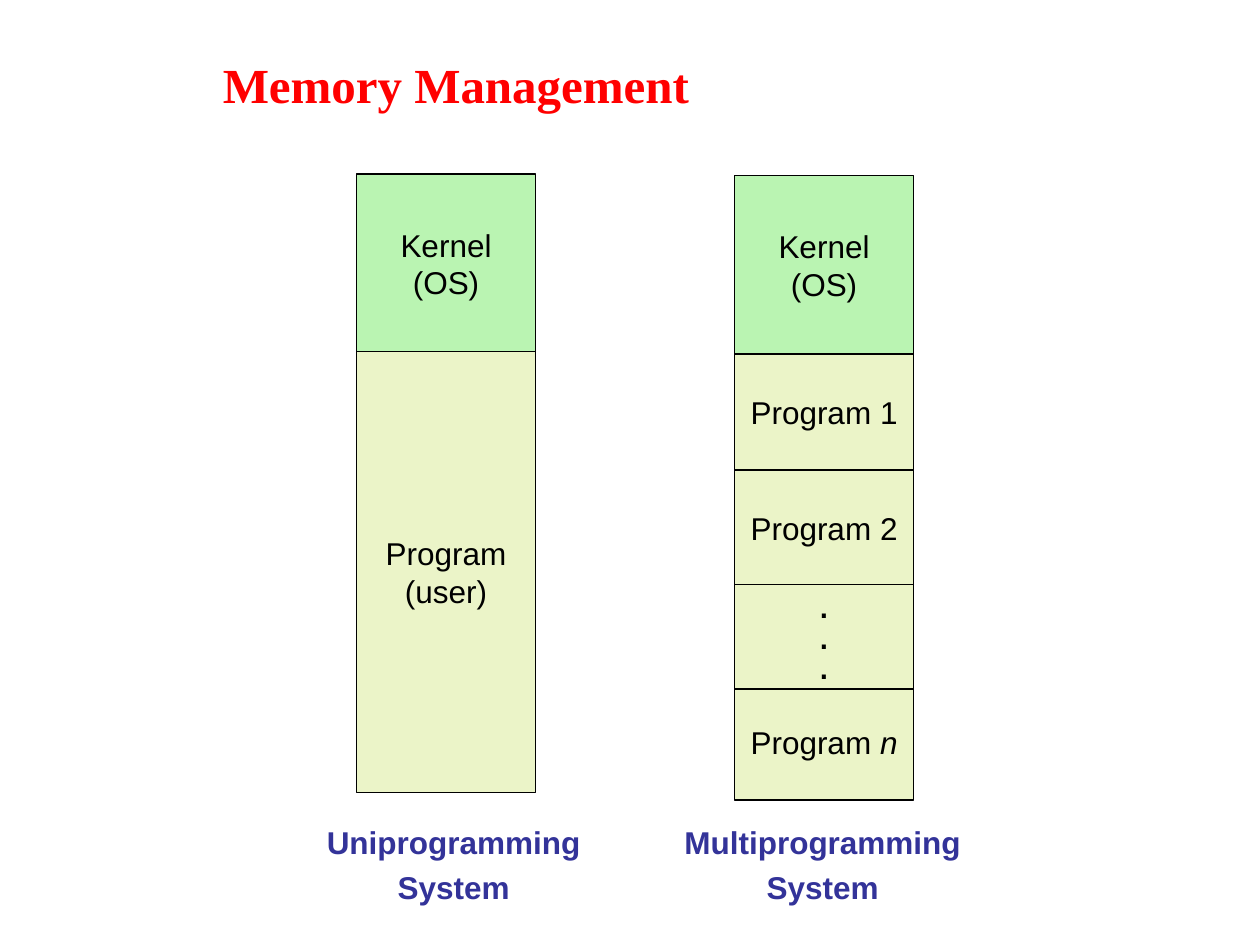
from pptx import Presentation
from pptx.dml.color import RGBColor
from pptx.enum.shapes import MSO_SHAPE
from pptx.enum.text import MSO_ANCHOR, PP_ALIGN
from pptx.util import Inches, Pt

COLORS = {
    "title": "FF0000",
    "kernel": "BAF4B2",
    "program": "EBF4C8",
    "text": "000000",
    "caption": "333399",
}
TITLE_FONT = {"name": "Times New Roman", "size": Pt(28), "bold": True}
LABEL_FONT = {"name": "Arial", "size": Pt(18)}
DOT_FONT = {"name": "Arial", "size": Pt(24)}
CAPTION_FONT = {"name": "Arial", "size": Pt(18), "bold": True}
BLOCK_WIDTH = 1.42

# Each block: fill, top, height, lines; a line is a list of (text, italic) runs.
KERNEL = [[("Kernel", False)], [("(OS)", False)]]
COLUMNS = [
    {
        "left": 2.83,
        "blocks": [
            ("kernel", 1.38, 1.42, KERNEL),
            ("program", 2.79, 3.5, [[("Program", False)], [("(user)", False)]]),
        ],
        "caption": (["Uniprogramming", "System"], 2.49, 2.22),
    },
    {
        "left": 5.83,
        "blocks": [
            ("kernel", 1.39, 1.42, KERNEL),
            ("program", 2.81, 0.92, [[("Program 1", False)]]),
            ("program", 3.73, 0.92, [[("Program 2", False)]]),
            ("program", 5.43, 0.92, [[("Program ", False), ("n", True)]]),
        ],
        "caption": (["Multiprogramming", "System"], 5.33, 2.4),
    },
]
DOTS = ("program", 4.64, 0.83, [[(".", False)]] * 3)


def write_lines(shape, lines, font, color, align=PP_ALIGN.CENTER, **spacing):
    """Write one paragraph per line and return the text frame."""
    frame = shape.text_frame
    for index, runs in enumerate(lines):
        paragraph = frame.paragraphs[0] if index == 0 else frame.add_paragraph()
        paragraph.alignment = align
        for name, value in spacing.items():
            if index or name != "space_before":
                setattr(paragraph, name, value)
        for text, italic in runs:
            run = paragraph.add_run()
            run.text = text
            for name, value in font.items():
                setattr(run.font, name, value)
            if italic:
                run.font.italic = True
            run.font.color.rgb = RGBColor.from_string(COLORS[color])
    return frame


def add_block(slide, left, block, font=LABEL_FONT, **spacing):
    fill, top, height, lines = block
    shape = slide.shapes.add_shape(
        MSO_SHAPE.RECTANGLE, Inches(left), Inches(top), Inches(BLOCK_WIDTH), Inches(height)
    )
    shape.shadow.inherit = False
    shape.fill.solid()
    shape.fill.fore_color.rgb = RGBColor.from_string(COLORS[fill])
    shape.line.color.rgb = RGBColor.from_string(COLORS["text"])
    shape.line.width = Pt(0.75)
    frame = write_lines(shape, lines, font, "text", **spacing)
    frame.word_wrap = False
    frame.vertical_anchor = MSO_ANCHOR.MIDDLE
    return frame


def main():
    presentation = Presentation()
    presentation.slide_width, presentation.slide_height = Inches(10), Inches(7.5)
    slide = presentation.slides.add_slide(presentation.slide_layouts[6])

    title = slide.shapes.add_textbox(Inches(1.67), Inches(0.38), Inches(7.5), Inches(0.57))
    frame = write_lines(
        title, [[("Memory Management", False)]], TITLE_FONT, "title", PP_ALIGN.LEFT
    )
    frame.word_wrap = True

    for column in COLUMNS:
        for block in column["blocks"]:
            add_block(slide, column["left"], block)
        lines, left, width = column["caption"]
        caption = slide.shapes.add_textbox(
            Inches(left), Inches(6.48), Inches(width), Inches(0.74)
        )
        frame = write_lines(
            caption, [[(line, False)] for line in lines], CAPTION_FONT, "caption",
            space_before=Pt(4.5),
        )
        frame.word_wrap = False

    dots = add_block(slide, COLUMNS[1]["left"], DOTS, DOT_FONT, line_spacing=0.6)
    dots.margin_top = Inches(0.1)

    presentation.save("out.pptx")


if __name__ == "__main__":
    main()
